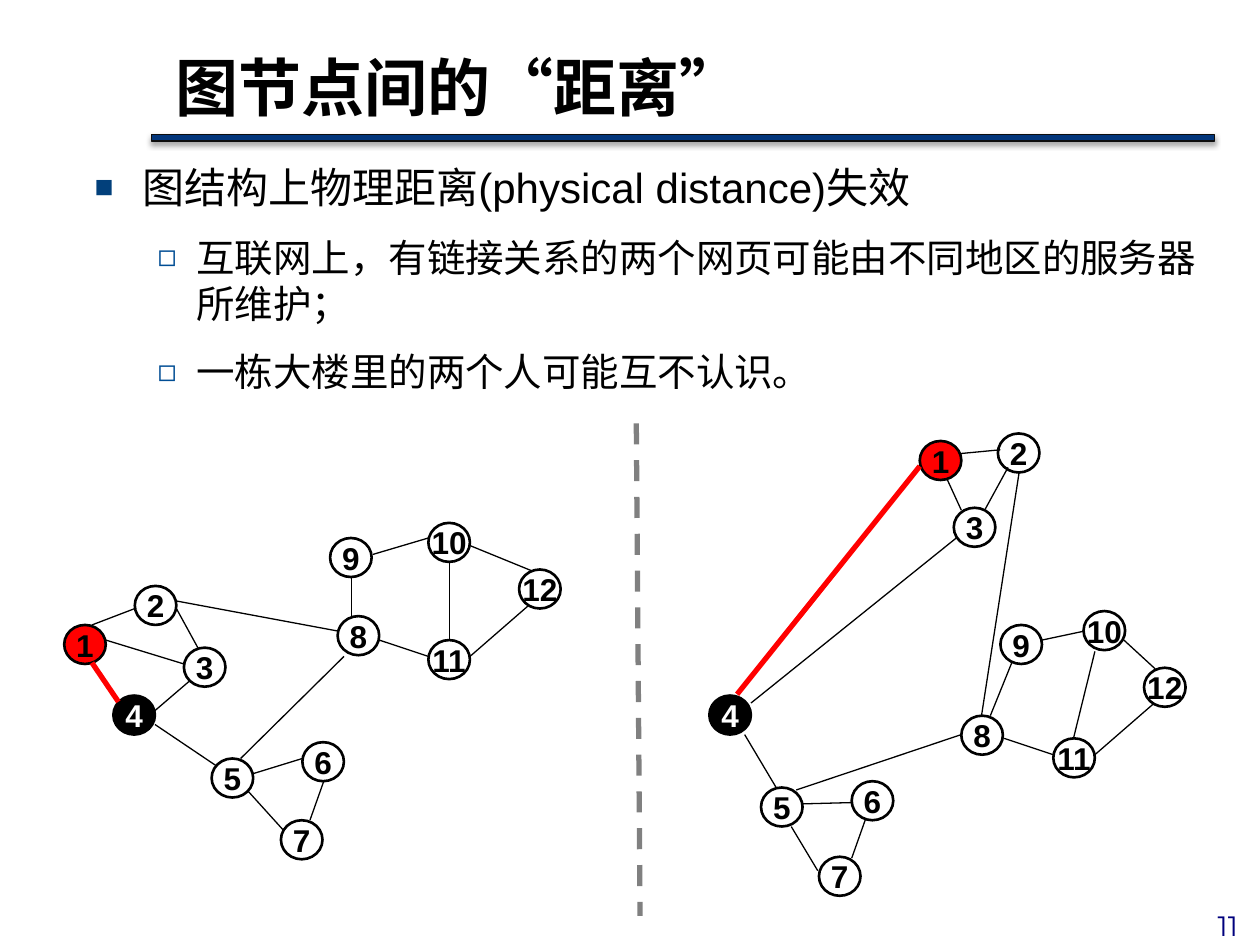
from lxml.etree import SubElement
from pptx import Presentation
from pptx.dml.color import RGBColor
from pptx.enum.dml import MSO_LINE
from pptx.enum.shapes import MSO_CONNECTOR, MSO_SHAPE
from pptx.enum.text import MSO_ANCHOR, MSO_AUTO_SIZE, PP_ALIGN
from pptx.oxml.ns import qn
from pptx.util import Inches, Pt

COLORS = {
    "black": "000000",
    "white": "FFFFFF",
    "red": "FF0000",
    "gray": "808080",
    "bar": "02367B",
    "bar_edge": "0D0D0D",
    "bullet": "02407B",
    "sub_bullet": "004D94",
    "number": "00007D",
}
NODE_WIDTH, NODE_HEIGHT = 0.33, 0.31
NODE_STYLES = {1: ("red", "black"), 4: ("black", "white")}

NEAR_NODES = {
    1: (0.51, 4.96), 4: (0.9, 5.52), 3: (1.46, 5.14), 2: (1.07, 4.65),
    5: (1.68, 6.02), 6: (2.4, 5.89), 7: (2.23, 6.51), 9: (2.62, 4.27),
    10: (3.4, 4.15), 8: (2.68, 4.89), 11: (3.4, 5.08), 12: (4.12, 4.52),
}
NEAR_RED_EDGE = (0.73, 5.26, 0.94, 5.57)
NEAR_EDGES = [
    (0.84, 5.08, 1.46, 5.27), (0.73, 4.96, 1.07, 4.83),
    (1.4, 4.83, 1.57, 5.14), (1.23, 5.64, 1.51, 5.4),
    (1.23, 5.75, 1.72, 6.08), (2.01, 6.14, 2.4, 6.02),
    (1.97, 6.28, 2.25, 6.59), (2.57, 6.2, 2.46, 6.51),
    (3.01, 5.08, 3.4, 5.21), (3.73, 5.21, 4.19, 4.81),
    (3.73, 4.33, 4.22, 4.53), (2.96, 4.4, 3.4, 4.27),
    (2.79, 4.58, 2.79, 4.89), (3.57, 4.46, 3.57, 5.08),
    (1.4, 4.77, 2.69, 5.01), (1.91, 6.02, 2.73, 5.21),
]
FAR_NODES = {
    1: (7.3, 3.5), 4: (5.63, 5.52), 3: (7.57, 4.03), 2: (7.92, 3.44),
    5: (6.04, 6.25), 6: (6.76, 6.2), 7: (6.5, 6.8), 9: (7.94, 4.96),
    10: (8.6, 4.85), 8: (7.63, 5.68), 11: (8.36, 5.86), 12: (9.08, 5.3),
}
FAR_RED_EDGE = (7.3, 3.7, 5.85, 5.51)
FAR_EDGES = [
    (7.52, 3.81, 7.63, 4.05), (7.62, 3.6, 7.94, 3.57),
    (8, 3.71, 7.82, 4.04), (5.96, 5.58, 7.59, 4.27),
    (5.91, 5.83, 6.16, 6.25), (6.37, 6.38, 6.76, 6.37),
    (6.28, 6.56, 6.49, 6.91), (6.87, 6.5, 6.76, 6.81),
    (7.97, 5.86, 8.36, 5.99), (8.69, 5.99, 9.15, 5.59),
    (8.92, 5.08, 9.17, 5.31), (8.27, 5.08, 8.6, 5.01),
    (8.03, 5.26, 7.86, 5.68), (8.69, 5.17, 8.52, 5.86),
    (8.09, 3.74, 7.79, 5.68), (6.32, 6.27, 7.63, 5.83),
]
BULLETS = [
    (0, "图结构上物理距离(physical distance)失效"),
    (1, "互联网上，有链接关系的两个网页可能由不同地区的服务器所维护；"),
    (1, "一栋大楼里的两个人可能互不认识。"),
]
LEVELS = [
    {"size": 24, "margin": 0.38, "indent": -0.38,
     "mark": "■", "color": "bullet", "scale": 75},
    {"size": 22, "margin": 0.81, "indent": -0.31,
     "mark": "◻", "color": "sub_bullet", "scale": 80},
]


def color(name):
    return RGBColor.from_string(COLORS[name])


def place(box, left, top, width, height):
    box.left, box.top = Inches(left), Inches(top)
    box.width, box.height = Inches(width), Inches(height)


def format_runs(para, size, color_name, bold=False, font="Arial"):
    for span in para.runs:
        span.font.name = font
        span.font.size = Pt(size)
        span.font.bold = bold
        span.font.color.rgb = color(color_name)


def add_edge(shapes, ends, color_name="black", width=0.75):
    edge = shapes.add_connector(MSO_CONNECTOR.STRAIGHT, *map(Inches, ends))
    edge.line.color.rgb = color(color_name)
    edge.line.width = Pt(width)
    SubElement(edge._element.spPr, qn("a:effectLst"))
    return edge


def add_node(shapes, number, left, top):
    node = shapes.add_shape(MSO_SHAPE.OVAL, Inches(left), Inches(top),
                            Inches(NODE_WIDTH), Inches(NODE_HEIGHT))
    node.shadow.inherit = False
    fill_name, text_color = NODE_STYLES.get(number, (None, "black"))
    if fill_name:
        node.fill.solid()
        node.fill.fore_color.rgb = color(fill_name)
    else:
        node.fill.background()
    node.line.color.rgb = color("black")
    node.line.width = Pt(1.5)
    frame = node.text_frame
    frame.word_wrap = False
    frame.vertical_anchor = MSO_ANCHOR.MIDDLE
    frame.text = str(number)
    frame.paragraphs[0].alignment = PP_ALIGN.CENTER
    format_runs(frame.paragraphs[0], 18, text_color, bold=True)


def add_graph(page, nodes, red_edge, edges):
    graph = page.shapes.add_group_shape()
    for number, (left, top) in nodes.items():
        add_node(graph.shapes, number, left, top)
    add_edge(graph.shapes, red_edge, "red", 3)
    for ends in edges:
        add_edge(graph.shapes, ends)


def add_title_bar(page):
    bar = page.shapes.add_shape(MSO_SHAPE.RECTANGLE, Inches(1.2), Inches(1.07),
                                Inches(8.44), Inches(0.05))
    bar.fill.solid()
    bar.fill.fore_color.rgb = color("bar")
    bar.line.color.rgb = color("bar_edge")
    bar.line.width = Pt(0.75)
    bar.shadow.inherit = False
    effects = bar._element.spPr.find(qn("a:effectLst"))
    shadow = SubElement(effects, qn("a:outerShdw"), blurRad=str(Pt(3.1)),
                        dist=str(Pt(1.8)), dir="5400000", rotWithShape="0")
    tint = SubElement(shadow, qn("a:srgbClr"), val=COLORS["black"])
    SubElement(tint, qn("a:alpha"), val="35000")


def add_page_number(page):
    box = page.shapes.add_textbox(Inches(9.33), Inches(7.16),
                                  Inches(0.83), Inches(0.37))
    frame = box.text_frame
    frame.word_wrap = True
    frame.auto_size = MSO_AUTO_SIZE.SHAPE_TO_FIT_TEXT
    frame.text = "11"
    frame.paragraphs[0].alignment = PP_ALIGN.CENTER
    format_runs(frame.paragraphs[0], 16, "number", font="Montserrat")


def fill_title(title):
    place(title, 1.29, 0.07, 8.67, 1.23)
    frame = title.text_frame
    frame.auto_size = MSO_AUTO_SIZE.NONE
    frame.vertical_anchor = MSO_ANCHOR.MIDDLE
    frame.text = "图节点间的“距离”"
    frame.paragraphs[0].alignment = PP_ALIGN.LEFT
    format_runs(frame.paragraphs[0], 36, "black", bold=True)


def set_bullet(para, level):
    properties = para._p.get_or_add_pPr()
    properties.set("marL", str(Inches(level["margin"])))
    properties.set("indent", str(Inches(level["indent"])))
    tint = SubElement(properties, qn("a:buClr"))
    SubElement(tint, qn("a:srgbClr"), val=COLORS[level["color"]])
    SubElement(properties, qn("a:buSzPct"), val=str(level["scale"] * 1000))
    SubElement(properties, qn("a:buFont"), typeface="Arial")
    SubElement(properties, qn("a:buChar"), char=level["mark"])


def fill_body(body):
    place(body, 0.65, 1.23, 9, 5.83)
    frame = body.text_frame
    frame.auto_size = MSO_AUTO_SIZE.NONE
    frame.text = "\n".join(text for _, text in BULLETS)
    for index, (para, (depth, _)) in enumerate(zip(frame.paragraphs, BULLETS)):
        para.level = depth
        set_bullet(para, LEVELS[depth])
        para.space_before = Pt(12.7 if index else 0)
        format_runs(para, LEVELS[depth]["size"], "black")


def main():
    deck = Presentation()
    deck.slide_width, deck.slide_height = Inches(10), Inches(7.5)
    page = deck.slides.add_slide(deck.slide_layouts[1])
    add_page_number(page)
    add_title_bar(page)
    fill_title(page.shapes.title)
    fill_body(page.placeholders[1])
    add_graph(page, NEAR_NODES, NEAR_RED_EDGE, NEAR_EDGES)
    add_graph(page, FAR_NODES, FAR_RED_EDGE, FAR_EDGES)
    divider = add_edge(page.shapes, (5.05, 3.36, 5.08, 7.27), "gray", 3)
    divider.line.dash_style = MSO_LINE.DASH
    deck.save("out.pptx")


if __name__ == "__main__":
    main()
